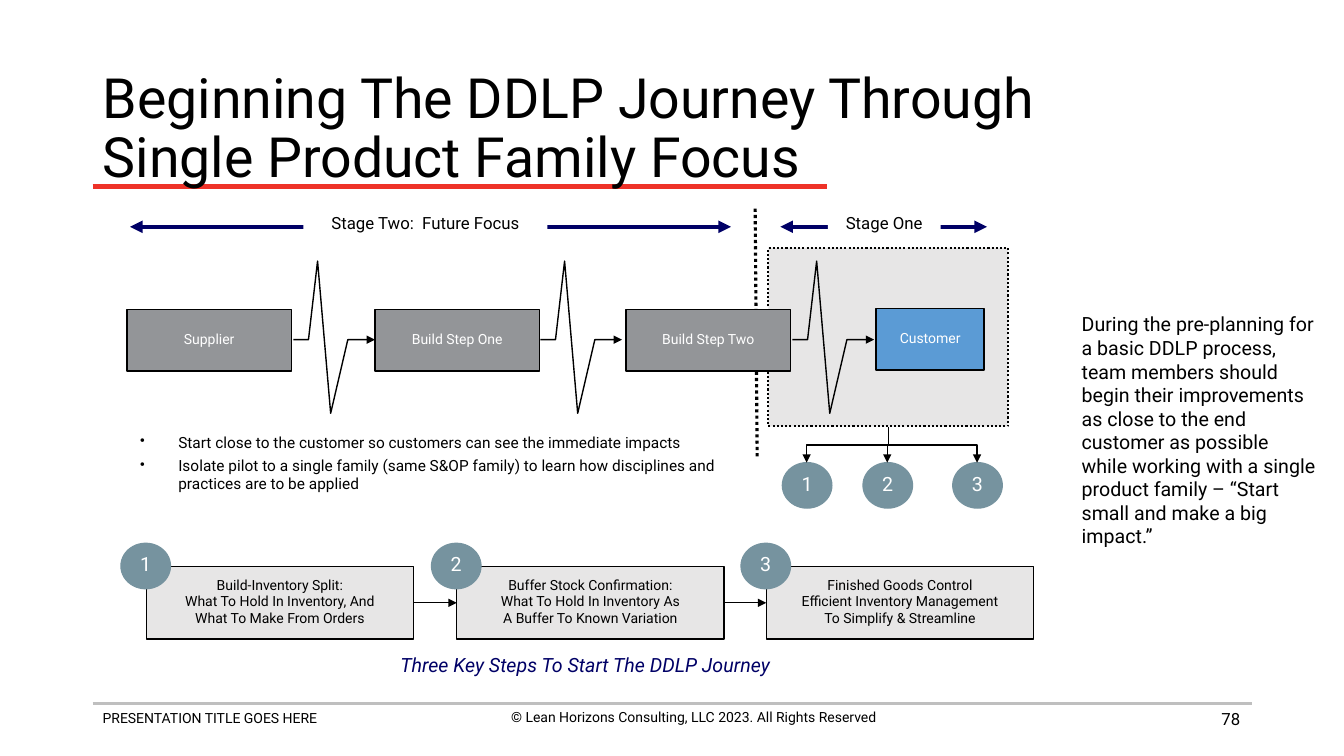
from dataclasses import dataclass

from lxml.etree import SubElement
from pptx import Presentation
from pptx.dml.color import RGBColor
from pptx.enum.dml import MSO_LINE
from pptx.enum.shapes import MSO_CONNECTOR, MSO_SHAPE
from pptx.enum.text import MSO_ANCHOR, PP_ALIGN
from pptx.oxml.ns import qn
from pptx.util import Pt


@dataclass(frozen=True)
class Theme:
    font: str = "Roboto"
    black: str = "000000"
    white: str = "FFFFFF"
    navy: str = "000066"
    red: str = "EE3228"
    rule: str = "BFBFBF"
    panel: str = "E7E6E6"
    step: str = "939598"
    customer: str = "5B9BD5"
    badge: str = "76939F"
    title: float = 39.6
    large: int = 14
    medium: int = 12
    bullet: int = 11
    small: int = 10


theme = Theme()
PX = 9144

deck = Presentation()
deck.slide_width, deck.slide_height = 1333 * PX, 750 * PX
page = deck.slides.add_slide(deck.slide_layouts[6])


def add_box(area, lines=(), size=theme.small, color=theme.black, kind=None, fill=None, edge=None,
            align=PP_ALIGN.CENTER, anchor=MSO_ANCHOR.MIDDLE, spacing=0.8, gap=2):
    place = [value * PX for value in area]
    if kind is None:
        box = page.shapes.add_textbox(*place)
    else:
        box = page.shapes.add_shape(kind, *place)
        box.shadow.inherit = False
        box.fill.solid()
        box.fill.fore_color.rgb = RGBColor.from_string(fill)
        if edge:
            box.line.color.rgb = RGBColor.from_string(edge)
            box.line.width = Pt(1)
        else:
            box.line.fill.background()
    frame = box.text_frame
    frame.word_wrap = True
    frame.vertical_anchor = anchor
    for index, line in enumerate(lines):
        para = frame.add_paragraph() if index else frame.paragraphs[0]
        para.text = line
        para.alignment = align
        para.line_spacing = spacing
        if index:
            para.space_before = Pt(gap)
        para.font.name = theme.font
        para.font.size = Pt(size)
        para.font.color.rgb = RGBColor.from_string(color)
    return box


def style_line(shape, color=theme.black, width=1, dash=None, arrows=()):
    shape.line.color.rgb = RGBColor.from_string(color)
    shape.line.width = Pt(width)
    if dash:
        shape.line.dash_style = dash
    properties = shape._element.spPr
    for end in arrows:
        SubElement(properties.find(qn("a:ln")), qn(f"a:{end}"), type="triangle")
    SubElement(properties, qn("a:effectLst"))


straight_lines = [
    ((92, 698, 1242, 698), theme.rule, 2, None, ()),
    ((92, 185, 820, 185), theme.red, 3, None, ()),
    ((749, 207, 751, 454), theme.black, 2.25, MSO_LINE.ROUND_DOT, ()),
    ((129, 225, 725, 225), theme.navy, 3, None, ("headEnd", "tailEnd")),
    ((774, 225, 979, 225), theme.navy, 3, None, ("headEnd", "tailEnd")),
    ((409, 598, 453, 598), theme.black, 1, None, ("tailEnd",)),
    ((717, 598, 760, 598), theme.black, 1, None, ("tailEnd",)),
]

pilot = add_box((762, 246, 238, 177), kind=MSO_SHAPE.RECTANGLE, fill=theme.panel, edge=theme.black)
pilot.line.width = Pt(1.5)
pilot.line.dash_style = MSO_LINE.ROUND_DOT

for ends, color, width, dash, arrows in straight_lines:
    connector = page.shapes.add_connector(MSO_CONNECTOR.STRAIGHT, *[value * PX for value in ends])
    style_line(connector, color, width, dash, arrows)

plain_texts = [
    ((92, 699, 456, 44), "PRESENTATION TITLE GOES HERE", theme.small, PP_ALIGN.LEFT, MSO_ANCHOR.TOP, 1),
    ((460, 698, 456, 44), "© Lean Horizons Consulting, LLC 2023. All Rights Reserved",
     theme.small, PP_ALIGN.CENTER, MSO_ANCHOR.TOP, 1),
    ((940, 693, 300, 40), "78", theme.medium, PP_ALIGN.RIGHT, MSO_ANCHOR.MIDDLE, 1),
    ((92, 74, 1150, 110), "Beginning The DDLP Journey Through \vSingle Product Family Focus",
     theme.title, PP_ALIGN.LEFT, MSO_ANCHOR.MIDDLE, 0.9),
    ((1063, 305, 253, 246),
     "During the pre-planning for a basic DDLP process, team members should begin their "
     "improvements as close to the end customer as possible while working with a single "
     "product family – “Start small and make a big impact.”",
     theme.large, PP_ALIGN.LEFT, MSO_ANCHOR.TOP, 1),
]
for area, text, size, align, anchor, spacing in plain_texts:
    add_box(area, [text], size, align=align, anchor=anchor, spacing=spacing)

process_boxes = [
    ("Supplier", (126, 307, 163, 61), theme.step),
    ("Build Step One", (372, 307, 163, 61), theme.step),
    ("Build Step Two", (621, 307, 163, 61), theme.step),
    ("Customer", (869, 306, 107, 61), theme.customer),
]
for name, area, fill in process_boxes:
    add_box(area, [name], color=theme.white, kind=MSO_SHAPE.RECTANGLE, fill=fill, edge=theme.black)

pulse = [(15, 337), (24, 259), (37, 410), (54, 337), (81, 337)]
for left in (291, 536, 786):
    builder = page.shapes.build_freeform(left, 337, scale=PX)
    builder.add_line_segments([(left + x, y) for x, y in pulse], close=False)
    signal = builder.convert_to_shape()
    signal.fill.background()
    style_line(signal, arrows=("tailEnd",))

for area, label in [((301, 210, 242, 31), "Stage Two:  Future Focus"), ((821, 210, 112, 31), "Stage One")]:
    add_box(area, [label], theme.medium, kind=MSO_SHAPE.RECTANGLE, fill=theme.white, anchor=MSO_ANCHOR.TOP)

cards = [
    ["Build-Inventory Split:", "What To Hold In Inventory, And", "What To Make From Orders"],
    ["Buffer Stock Confirmation:", "What To Hold In Inventory As", "A Buffer To Known Variation"],
    ["Finished Goods Control", "Efficient Inventory Management", "To Simplify & Streamline"],
]
branch_x, branch_top, badge_top = 881, 424, 459
drop = badge_top - branch_top
middle = (branch_top + badge_top) / 2
for index, (lines, badge_x) in enumerate(zip(cards, (800, 880, 969))):
    card_left = 145 + round(307.5 * index)
    add_box((card_left, 562, 265, 72), lines, kind=MSO_SHAPE.RECTANGLE, fill=theme.panel, edge=theme.black)
    for left, top in ((badge_x - 24, badge_top), (card_left - 25, 539)):
        add_box((left, top, 49, 45), [str(index + 1)], theme.large, theme.white,
                MSO_SHAPE.OVAL, theme.badge, theme.badge)

    span = abs(badge_x - branch_x)
    center = (badge_x + branch_x) / 2
    side = 1 if badge_x > branch_x else -1
    ends = (center + side * drop / 2, middle - span / 2, center - side * drop / 2, middle + span / 2)
    branch = page.shapes.add_connector(MSO_CONNECTOR.ELBOW, *[round(value * PX) for value in ends])
    branch._element.spPr.find(qn("a:xfrm")).set("rot", str((180 + side * 90) * 60000))
    style_line(branch, arrows=("tailEnd",))

caption = add_box((353, 647, 455, 34), ["Three Key Steps To Start The DDLP Journey"],
                  theme.large, theme.navy, anchor=MSO_ANCHOR.TOP)
caption.text_frame.paragraphs[0].font.italic = True

benefits = add_box(
    (129, 426, 602, 117),
    ["Start close to the customer so customers can see the immediate impacts",
     "Isolate pilot to a single family (same S&OP family) to learn how disciplines "
     "and practices are to be applied"],
    theme.bullet, align=PP_ALIGN.LEFT, anchor=MSO_ANCHOR.TOP, spacing=0.95, gap=4)
for para in benefits.text_frame.paragraphs:
    properties = para._p.get_or_add_pPr()
    properties.set("marL", str(38 * PX))
    properties.set("indent", str(-38 * PX))
    defaults = properties.find(qn("a:defRPr"))
    for tag, name, value in (("buSzPct", "val", "90000"), ("buChar", "char", "•")):
        bullet = SubElement(properties, qn(f"a:{tag}"))
        bullet.set(name, value)
        defaults.addprevious(bullet)

deck.save("out.pptx")
